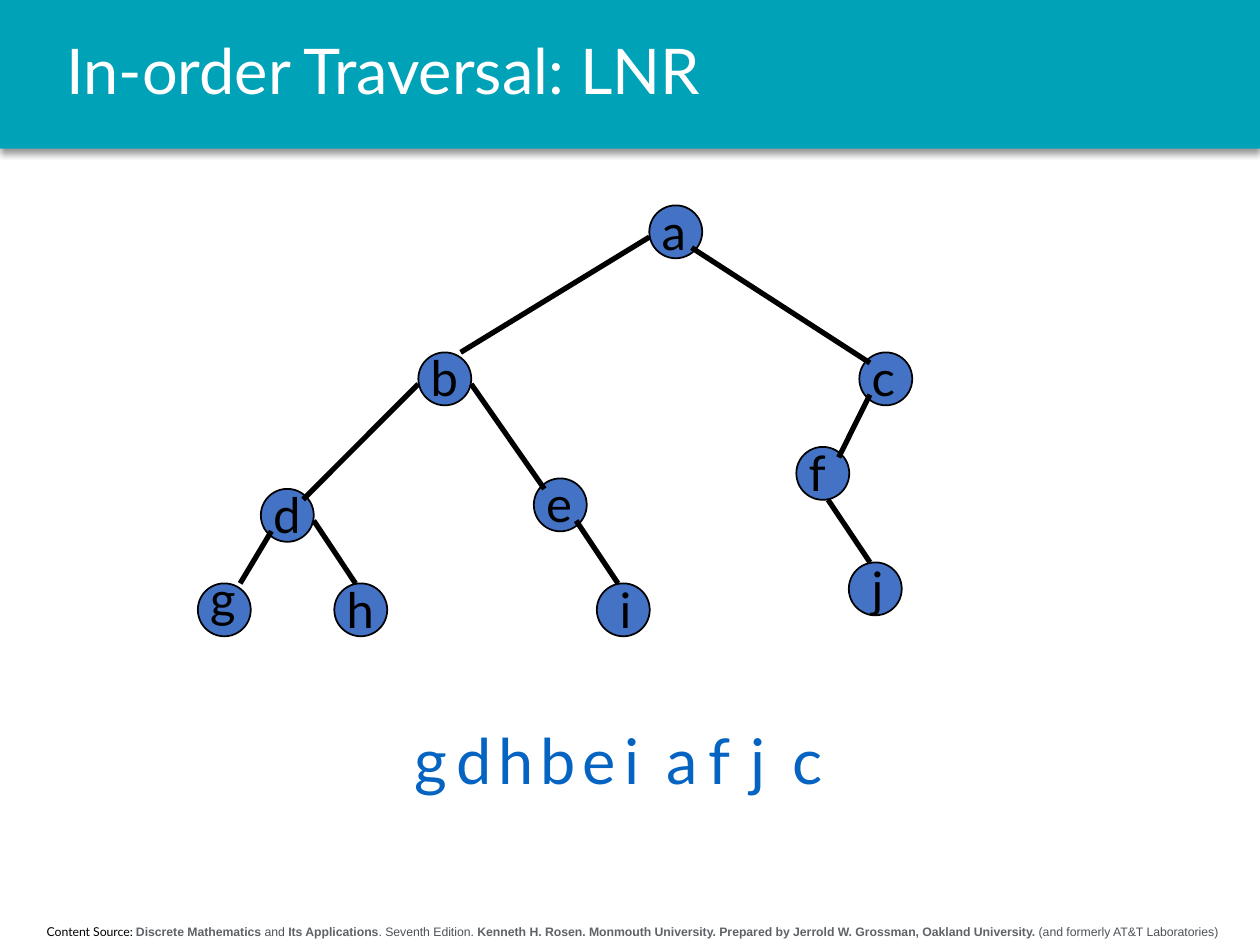
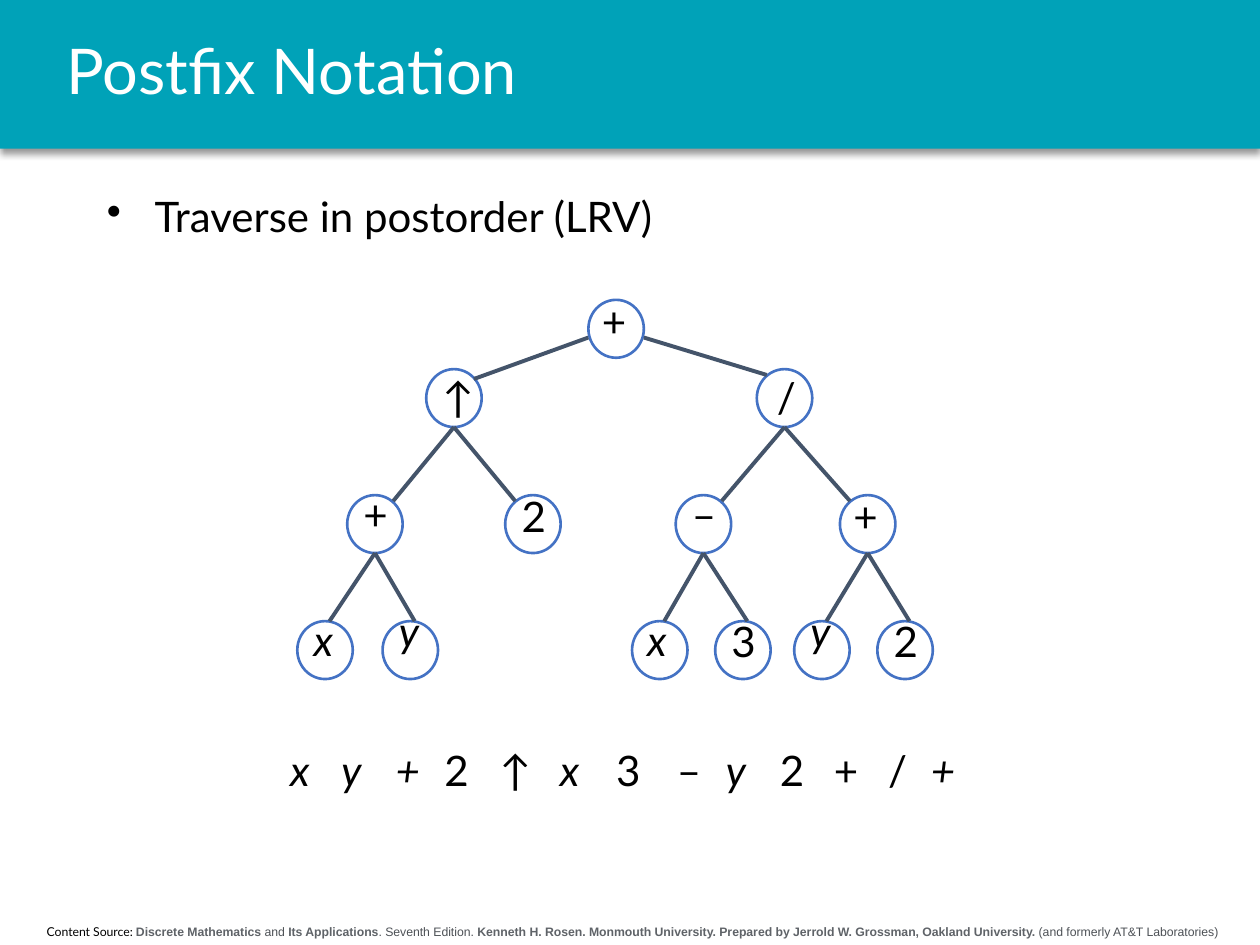
from dataclasses import dataclass

from lxml.etree import SubElement
from pptx import Presentation
from pptx.dml.color import RGBColor
from pptx.enum.shapes import MSO_CONNECTOR, MSO_SHAPE
from pptx.enum.text import MSO_ANCHOR, PP_ALIGN
from pptx.oxml.ns import qn
from pptx.util import Inches, Pt


@dataclass(frozen=True)
class Theme:
    """Colours, fonts and type sizes that the slides share."""
    teal: str = "00A2B8"
    white: str = "FFFFFF"
    black: str = "000000"
    blue: str = "4472C4"
    link: str = "0563C1"
    slate: str = "44546A"
    strong: str = "5F6368"
    soft: str = "4D5156"
    face: str = "Lato"
    plain: str = "Arial"
    title: float = 36
    label: float = 28
    body: float = 24
    note: float = 7


@dataclass(frozen=True)
class Box:
    """A grid with its corner and cell size in inches."""
    left: float
    top: float
    col: float
    row: float

    def spot(self, col, row):
        """Return the place of a grid point on the slide."""
        return self.left + col * self.col, self.top + row * self.row


@dataclass(frozen=True)
class Look:
    """How the nodes, edges and labels of a tree are drawn."""
    wide: float
    high: float
    fill: str
    rim: str
    rim_pt: float
    edge: str
    edge_pt: float
    size: float
    slant: str


T = Theme()
WIDE, HIGH = 10, 7.5
PAGE = Box(0, 0, WIDE / 100, HIGH / 100)
SOLID = Look(0.42, 0.42, T.blue, T.black, 1, T.black, 3, T.label, "")
OPEN = Look(0.44, 0.46, "", T.blue, 1.5, T.slate, 2.25, T.body, "xy")

SOURCE = [
    ("Content Source: ", T.face, T.black, False),
    ("Discrete Mathematics", T.plain, T.strong, True),
    (" and ", T.plain, T.soft, False),
    ("Its Applications", T.plain, T.strong, True),
    (". Seventh Edition. ", T.plain, T.soft, False),
    ("Kenneth H. Rosen. Monmouth University. Prepared by Jerrold W. Grossman, "
     "Oakland University.", T.plain, T.strong, True),
    (" (and formerly AT&T Laboratories)", T.plain, T.soft, False),
]

# Each key spells the turns from the root; then mark, column, row,
# label shift, and where the edge leaves the parent and meets the node.
LETTERS = {
    "": ("a", 43, 0, (0, -0.2), None, None),
    "L": ("b", 21, 14, (0, -0.2), (0, 0.6), (0.8, 0)),
    "R": ("c", 63, 14, (0, -0.2), (0.8, 0.8), (0.2, 0.2)),
    "LL": ("d", 6, 27, (0, -0.2), (0, 0.6), (0.8, 0.2)),
    "LR": ("e", 32, 26, (0, -0.2), (1, 0.6), (0.2, 0.2)),
    "RL": ("f", 57, 23, (0, -0.2), (0.2, 0.8), (0.8, 0.2)),
    "LLL": ("g", 0, 36, (0, -0.4), (0.2, 0.8), (0.8, 0)),
    "LLR": ("h", 13, 36, (0, -0.2), (1, 0.6), (0.4, 0)),
    "LRR": ("i", 38, 36, (0.2, -0.2), (0.8, 0.8), (0.4, 0)),
    "RLR": ("j", 62, 34, (0.2, -0.2), (0.6, 1), (0.4, 0)),
}
FOOT, NEAR, FAR, TOP = (0.5, 1), (0.18, 0.1), (0.83, 0.1), (0.58, 0)
TERMS = {
    "": ("+", 7, 0, (0.02, -0.18), None, None),
    "L": ("↑", 3.1, 1.1, (0.07, -0.06), (0, 0.65), (0.86, 0.17)),
    "R": ("/", 11.05, 1.1, (0.14, -0.06), (1, 0.65), NEAR),
    "LL": ("+", 1.2, 3.1, (0.07, -0.22), FOOT, FAR),
    "LR": ("2", 5, 3.1, (0.07, -0.18), FOOT, NEAR),
    "RL": ("–", 9.1, 3.1, (0.07, -0.22), FOOT, FAR),
    "RR": ("+", 13.05, 3.1, (0.02, -0.18), FOOT, NEAR),
    "LLL": ("x", 0, 5.1, (0.07, -0.22), FOOT, TOP),
    "LLR": ("y", 2.05, 5.1, (0.07, -0.38), FOOT, TOP),
    "RLL": ("x", 8.05, 5.1, (0.05, -0.22), FOOT, TOP),
    "RLR": ("3", 10.05, 5.1, (0.07, -0.2), FOOT, TOP),
    "RRL": ("y", 11.95, 5.1, (0.07, -0.38), FOOT, TOP),
    "RRR": ("2", 13.95, 5.1, (0.07, -0.2), FOOT, TOP),
}


def ink(hue):
    """Turn a hex string into a colour."""
    return RGBColor.from_string(hue)


def style(run, size, hue, face=T.face, bold=False, slant=False):
    """Format one run."""
    font = run.font
    font.size, font.name, font.bold, font.italic = Pt(size), face, bold, slant
    font.color.rgb = ink(hue)


def write(slide, place, text, size, hue, align=PP_ALIGN.LEFT,
          anchor=MSO_ANCHOR.TOP, slant=False):
    """Add a wrapped text box and return its paragraph."""
    frame = slide.shapes.add_textbox(*map(Inches, place)).text_frame
    frame.word_wrap, frame.vertical_anchor = True, anchor
    para = frame.paragraphs[0]
    para.text, para.alignment = text, align
    for run in para.runs:
        style(run, size, hue, slant=slant)
    return para


def form(slide, kind, place, fill="", rim="", rim_pt=1):
    """Add a preset shape with its own fill and rim."""
    shape = slide.shapes.add_shape(kind, *map(Inches, place))
    shape.shadow.inherit = False
    if fill:
        shape.fill.solid()
        shape.fill.fore_color.rgb = ink(fill)
    else:
        shape.fill.background()
    if rim:
        shape.line.color.rgb, shape.line.width = ink(rim), Pt(rim_pt)
    else:
        shape.line.fill.background()
    return shape


def head(slide, box, text):
    """Draw the title band and its shadow."""
    high = 15.75 * box.row
    band = form(slide, MSO_SHAPE.RECTANGLE,
                (*box.spot(0, 0), 100 * box.col, high), T.teal)
    glow = SubElement(band._element.spPr.find(qn("a:effectLst")),
                      qn("a:outerShdw"), blurRad=str(Pt(4)),
                      dist=str(Pt(3)), dir="5400000", algn="t", rotWithShape="0")
    tint = SubElement(glow, qn("a:srgbClr"), val=T.black)
    SubElement(tint, qn("a:alpha"), val="40000")
    para = write(slide, (*box.spot(4.3, 0), 93 * box.col, high), text,
                 T.title, T.white, anchor=MSO_ANCHOR.MIDDLE)
    para.line_spacing = 0.9


def foot(slide, box):
    """Write the source line at the bottom."""
    place = (*box.spot(0.4, 97.2), 99.6 * box.col, 2.9 * box.row)
    para = write(slide, place, "", T.note, T.black, PP_ALIGN.CENTER)
    for text, face, hue, bold in SOURCE:
        run = para.add_run()
        run.text = text
        style(run, T.note, hue, face, bold)


def point(slide, box, text):
    """Write one bulleted line."""
    para = write(slide, (*box.spot(0, 0), 12 * box.col, box.row), text,
                 T.body, T.black)
    props = para._p.get_or_add_pPr()
    props.set("marL", str(Inches(0.38)))
    props.set("indent", str(Inches(-0.38)))
    SubElement(props, qn("a:buChar"), char="•")
    para.line_spacing = 0.9


def tree(slide, box, nodes, look):
    """Draw the nodes of a tree, then its edges and labels."""
    def port(key, share):
        """Find a point on a node from its shares of the size."""
        left, top = box.spot(*nodes[key][1:3])
        return left + share[0] * look.wide, top + share[1] * look.high

    for key in nodes:
        form(slide, MSO_SHAPE.OVAL, (*port(key, (0, 0)), look.wide, look.high),
             look.fill, look.rim, look.rim_pt)
    for key, (mark, _, _, shift, start, end) in nodes.items():
        if key:
            ends = *port(key[:-1], start), *port(key, end)
            edge = slide.shapes.add_connector(MSO_CONNECTOR.STRAIGHT,
                                              *map(Inches, ends))
            edge.line.color.rgb, edge.line.width = ink(look.edge), Pt(look.edge_pt)
            SubElement(edge._element.spPr, qn("a:effectLst"))
        write(slide, (*port(key, shift), 0.4, 0.51), mark, look.size, T.black,
              slant=mark in look.slant if look.slant else False)


def chain(slide, box, marks, cols, wide, size, hue, align, slants=()):
    """Write the visited marks in one row."""
    for spot, (mark, col) in enumerate(zip(marks, cols)):
        write(slide, (*box.spot(col, 0), wide, box.row), mark, size, hue,
              align, MSO_ANCHOR.MIDDLE, spot in slants)


def base(deck, text):
    """Add a slide with the shared band and source line."""
    slide = deck.slides.add_slide(deck.slide_layouts[6])
    head(slide, PAGE, text)
    foot(slide, PAGE)
    return slide


def inorder(deck):
    """Build the slide on in-order traversal."""
    slide = base(deck, "In-order Traversal: LNR")
    tree(slide, Box(1.57, 1.63, 1 / 12, 1 / 12), LETTERS, SOLID)
    marks = "gdhbeiafjc"
    chain(slide, Box(3.19, 5.67, 1 / 3, 0.71), marks, range(len(marks)), 0.42,
          T.title, T.link, PP_ALIGN.LEFT)


def postfix(deck):
    """Build the slide on postfix notation."""
    slide = base(deck, "Postfix Notation")
    point(slide, Box(0.75, 1.51, 0.55, 0.56), "Traverse in postorder (LRV)")
    tree(slide, Box(2.36, 2.38, 0.33, 0.5), TERMS, OPEN)
    cols = (0, 0.95, 1.98, 2.88, 3.9, 4.98, 6.05, 7.17, 8.05, 9.07, 10.07,
            11.03, 11.86)
    chain(slide, Box(2.19, 5.86, 0.43, 0.5), "xy+2↑x3–y2+/+", cols, 0.38,
          T.body, T.black, PP_ALIGN.CENTER, {0, 1, 2, 5, 8, 12})


def main():
    """Build the deck and save it."""
    deck = Presentation()
    deck.slide_width, deck.slide_height = Inches(WIDE), Inches(HIGH)
    inorder(deck)
    postfix(deck)
    deck.save("out.pptx")


if __name__ == "__main__":
    main()
